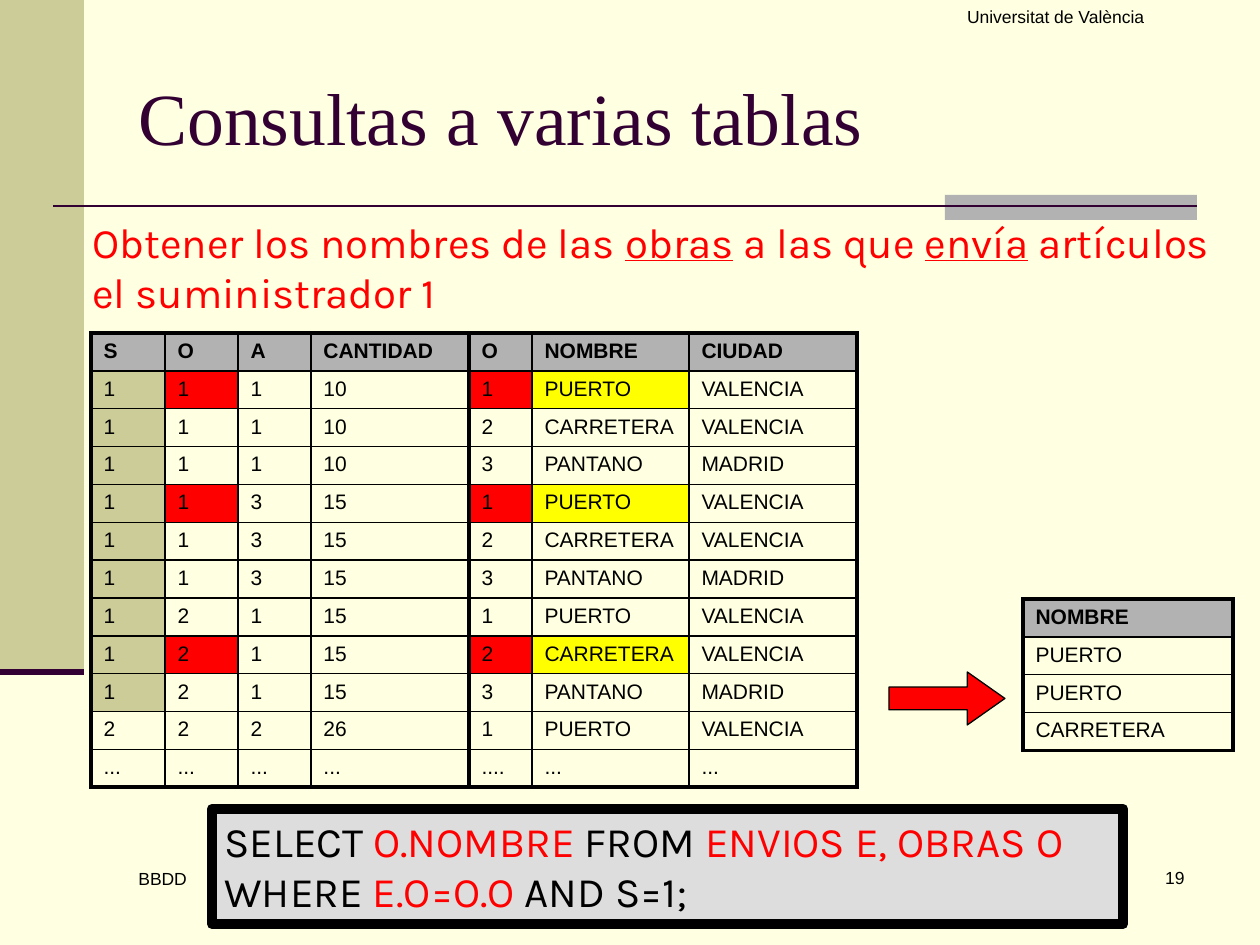
from itertools import islice, product

from lxml import etree
from pptx import Presentation
from pptx.dml.color import RGBColor
from pptx.enum.shapes import MSO_CONNECTOR as CONN, MSO_SHAPE as SHAPE
from pptx.enum.text import MSO_ANCHOR as ANCHOR, PP_ALIGN as ALIGN
from pptx.oxml.ns import qn
from pptx.util import Emu, Pt

COLORS = {
    "cream": "FFFFE1", "sand": "CCCC99", "plum": "330033", "gray": "B2B2B2",
    "pale": "DDDDDD", "red": "FF0000", "yellow": "FFFF00", "black": "000000",
}
EMU_PER_PX = 914400 / 126
THIN, THICK = 1, 2.25

ENVIOS = [(1, 1, 1, 10), (1, 1, 3, 15), (1, 2, 1, 15), (2, 2, 2, 26)]
OBRAS = [(1, "PUERTO", "VALENCIA"), (2, "CARRETERA", "VALENCIA"), (3, "PANTANO", "MADRID")]
JOINED = list(islice(product(ENVIOS, OBRAS), 10))


def px(n):
    return Emu(round(n * EMU_PER_PX))


def rgb(name):
    return RGBColor.from_string(COLORS[name])


def write(tf, paras, size=10, font="Arial", color="black", bold=False,
          align=ALIGN.LEFT, anchor=ANCHOR.TOP):
    """Fill a frame; a paragraph is a list of (text, colour or None, underline) runs or a string."""
    tf.word_wrap = True
    tf.vertical_anchor = anchor
    for i, para in enumerate(paras):
        p = tf.add_paragraph() if i else tf.paragraphs[0]
        p.alignment = align
        for text, run_color, underline in [(para, None, False)] if isinstance(para, str) else para:
            r = p.add_run()
            r.text = text
            r.font.size, r.font.name, r.font.bold = Pt(size), font, bold
            r.font.underline = underline
            r.font.color.rgb = rgb(run_color or color)


def add_text(s, box, paras, **fmt):
    write(s.shapes.add_textbox(*map(px, box)).text_frame, paras, **fmt)


def add_box(s, kind, box, fill, line=None, width=1):
    sp = s.shapes.add_shape(kind, *map(px, box))
    sp.shadow.inherit = False
    sp.fill.solid()
    sp.fill.fore_color.rgb = rgb(fill)
    if line:
        sp.line.color.rgb = rgb(line)
        sp.line.width = Pt(width)
    else:
        sp.line.fill.background()
    return sp


def add_rule(s, x1, x2, y, width):
    c = s.shapes.add_connector(CONN.STRAIGHT, px(x1), px(y), px(x2), px(y))
    c.line.color.rgb = rgb("plum")
    c.line.width = Pt(width)
    etree.SubElement(c._element.spPr, qn("a:effectLst"))


def set_borders(cell, widths):
    """Draw the left, right, top and bottom borders, which come before the fill in the XML."""
    tc_pr = cell._tc.get_or_add_tcPr()
    for i, (side, width) in enumerate(zip("LRTB", widths)):
        ln = etree.Element(qn(f"a:ln{side}"), w=str(Pt(width)))
        fill = etree.SubElement(ln, qn("a:solidFill"))
        etree.SubElement(fill, qn("a:srgbClr"), val=COLORS["black"])
        tc_pr.insert(i, ln)


def add_grid(s, left, top, height, cols, rows, fills):
    """Place a table with a gray header row and a thick frame; fills maps (row, column) to a colour."""
    n, m = len(rows), len(cols)
    table = s.shapes.add_table(n, m, px(left), px(top), px(sum(cols)), px(height)).table
    table.first_row = table.horz_banding = False
    for col, width in zip(table.columns, cols):
        col.width = px(width)
    for row in table.rows:
        row.height = px(height / n)
    for i, j in product(range(n), range(m)):
        cell = table.cell(i, j)
        fill = "gray" if i == 0 else fills.get((i, j))
        if fill:
            cell.fill.solid()
            cell.fill.fore_color.rgb = rgb(fill)
        else:
            cell.fill.background()
        outer = (j == 0, j == m - 1, i == 0, i == n - 1)
        set_borders(cell, [THICK if edge else THIN for edge in outer])
        write(cell.text_frame, [str(rows[i][j])], size=12, bold=i == 0)


def add_frame(s):
    add_box(s, SHAPE.RECTANGLE, (0, 0, 84, 672), "sand")
    add_box(s, SHAPE.RECTANGLE, (945, 195, 252, 25), "gray")
    add_rule(s, 53, 1197, 206, 1.5)
    add_rule(s, 0, 84, 672, 3.5)
    add_text(s, (935, 861, 262, 63), ["19"], align=ALIGN.RIGHT)
    add_text(s, (126, 38, 1071, 157), ["Consultas a varias tablas"], size=42,
             font="Times New Roman", color="plum", anchor=ANCHOR.MIDDLE)
    add_text(s, (851, 0, 409, 63), ["Universitat de València"], align=ALIGN.CENTER)
    add_text(s, (126, 862, 273, 63), ["BBDD"])


def add_question(s, box):
    add_text(s, box, [[
        ("Obtener los nombres de las ", None, False), ("obras", None, True),
        (" a las que ", None, False), ("envía", None, True),
        (" artículos el suministrador 1", None, False),
    ]], size=24, font="Karla", color="red")


def add_query(s, box):
    sp = add_box(s, SHAPE.RECTANGLE, box, "pale", "black", 6)
    write(sp.text_frame, [
        [("SELECT ", None, False), ("O.NOMBRE", "red", False),
         (" FROM ", None, False), ("ENVIOS E, OBRAS O", "red", False)],
        [("WHERE ", None, False), ("E.O=O.O", "red", False), (" AND S=1;", None, False)],
    ], size=24, font="Karla")


def add_join(s, left, top, height):
    """Set both halves of the product side by side and mark the rows that the query keeps."""
    envio_cols, obra_cols = (74, 73, 73, 158), (63, 157, 168)
    envio_fills, obra_fills = {}, {}
    for i, (envio, obra) in enumerate(JOINED, 1):
        if envio[0] == 1:
            envio_fills[i, 0] = "sand"
            if envio[1] == obra[0]:
                envio_fills[i, 1] = obra_fills[i, 0] = "red"
                obra_fills[i, 1] = "yellow"
    envio_rows = [("S", "O", "A", "CANTIDAD"), *(e for e, _ in JOINED), ("...",) * 4]
    obra_rows = [("O", "NOMBRE", "CIUDAD"), *(o for _, o in JOINED), ("....", "...", "...")]
    add_grid(s, left + sum(envio_cols), top, height, obra_cols, obra_rows, obra_fills)
    add_grid(s, left, top, height, envio_cols, envio_rows, envio_fills)


def add_result(s, left, top, width, height):
    names = [(o[1],) for e, o in JOINED if e[0] == 1 and e[1] == o[0]]
    add_grid(s, left, top, height, (width,), [("NOMBRE",), *names], {})
    arrow = add_box(s, SHAPE.RIGHT_ARROW, (left - 134, top + 73, 116, 53), "red", "black", 0.75)
    arrow.adjustments[0], arrow.adjustments[1] = 0.43, 0.71


def main():
    prs = Presentation()
    prs.slide_width, prs.slide_height = px(1260), px(945)
    s = prs.slides.add_slide(prs.slide_layouts[6])
    s.background.fill.solid()
    s.background.fill.fore_color.rgb = rgb("cream")
    add_frame(s)
    add_question(s, (80, 210, 1148, 115))
    add_query(s, (212, 809, 911, 115))
    add_join(s, 91, 333, 454)
    add_result(s, 1023, 599, 210, 151)
    prs.save("out.pptx")


if __name__ == "__main__":
    main()
